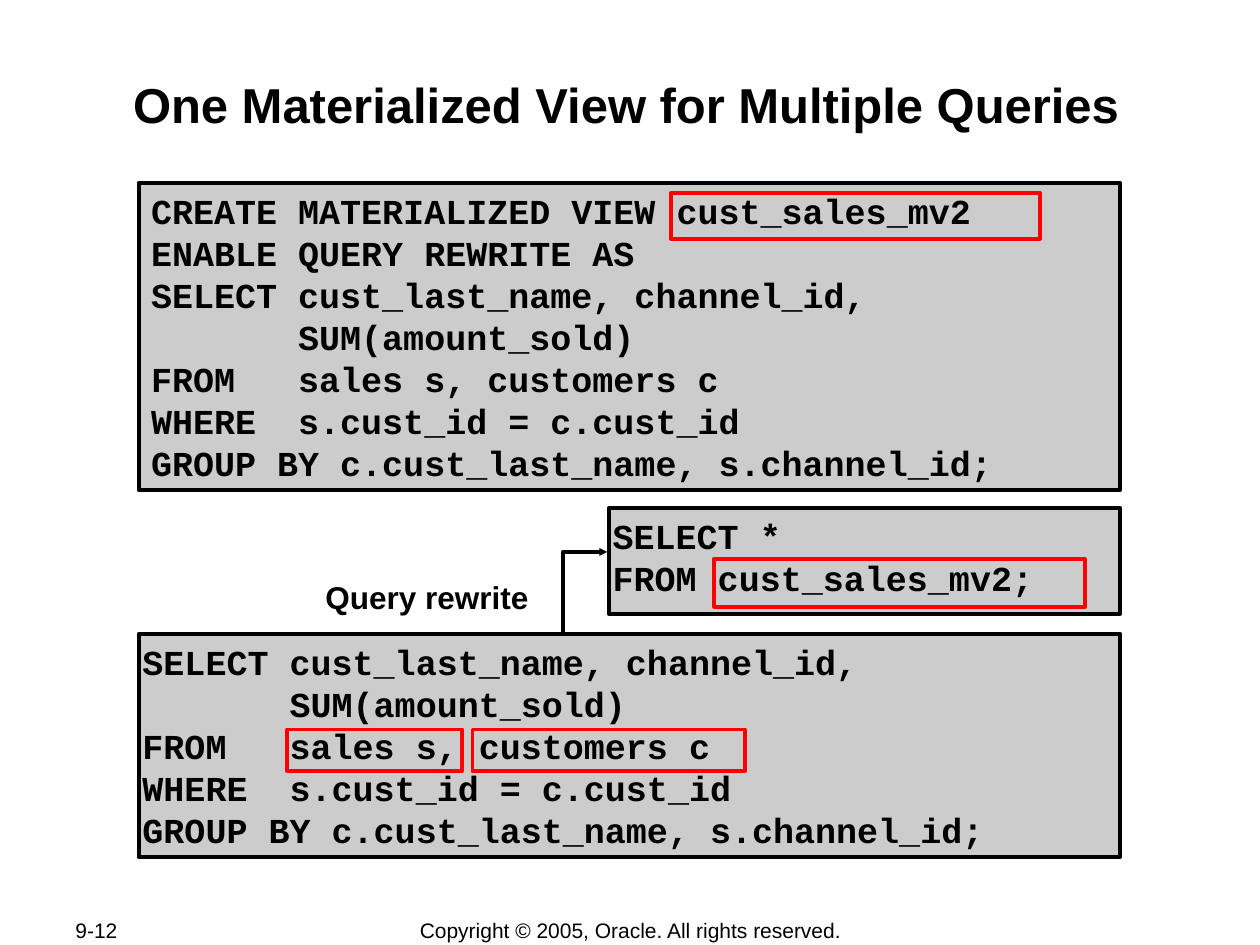
from lxml import etree
from pptx import Presentation
from pptx.dml.color import RGBColor
from pptx.enum.shapes import MSO_CONNECTOR, MSO_SHAPE
from pptx.enum.text import MSO_ANCHOR, MSO_AUTO_SIZE, PP_ALIGN
from pptx.oxml.ns import qn
from pptx.util import Pt

RECT = MSO_SHAPE.RECTANGLE
ELBOW = MSO_CONNECTOR.ELBOW
TOP, MIDDLE = MSO_ANCHOR.TOP, MSO_ANCHOR.MIDDLE
LEFT, CENTER = PP_ALIGN.LEFT, PP_ALIGN.CENTER
NO_FIT = MSO_AUTO_SIZE.NONE

BLACK, GRAY, RED = "000000", "CCCCCC", "FF0000"
LINE_WIDTH = 2.25

QUERY = [
    "SELECT cust_last_name, channel_id,",
    "       SUM(amount_sold)",
    "FROM   sales s, customers c",
    "WHERE  s.cust_id = c.cust_id",
    "GROUP BY c.cust_last_name, s.channel_id;",
]
VIEW = ["CREATE MATERIALIZED VIEW cust_sales_mv2", "ENABLE QUERY REWRITE AS"] + QUERY
REWRITTEN = ["SELECT *", "FROM cust_sales_mv2;"]


def color(hex_string):
    return RGBColor.from_string(hex_string)


def points(box):
    return [Pt(v) for v in box]


def write(tf, lines, size, font="Arial", bold=True, align=LEFT, anchor=TOP,
          inset=(0.72, 0.72), wrap=True):
    tf.word_wrap = wrap
    tf.auto_size = NO_FIT
    tf.vertical_anchor = anchor
    tf.margin_left = tf.margin_right = Pt(inset[0])
    tf.margin_top = tf.margin_bottom = Pt(inset[1])
    for i, line in enumerate(lines):
        p = tf.paragraphs[0] if i == 0 else tf.add_paragraph()
        p.text = line
        p.alignment = align
        p.font.name = font
        p.font.size = Pt(size)
        p.font.bold = bold
        p.font.color.rgb = color(BLACK)


def add_title(slide, box, text):
    title = slide.shapes.title
    title.left, title.top, title.width, title.height = points(box)
    write(title.text_frame, [text], 28, align=CENTER)


def add_label(slide, box, text, size, **style):
    sp = slide.shapes.add_textbox(*points(box))
    write(sp.text_frame, [text], size, **style)


def add_frame(slide, box, line, fill=None):
    sp = slide.shapes.add_shape(RECT, *points(box))
    sp.shadow.inherit = False
    sp.line.color.rgb = color(line)
    sp.line.width = Pt(LINE_WIDTH)
    if fill:
        sp.fill.solid()
        sp.fill.fore_color.rgb = color(fill)
    else:
        sp.fill.background()
    return sp


def add_code(slide, box, lines, side_inset):
    sp = add_frame(slide, box, BLACK, GRAY)
    write(sp.text_frame, lines, 20, font="Courier New", inset=(side_inset, 3.6))


def add_up_right_arrow(slide, x1, y1, x2, y2):
    """One-bend arrow that rises from (x1, y1), then runs right to (x2, y2)."""
    run, rise = x2 - x1, y1 - y2
    left = (x1 + x2 - rise) / 2
    top = (y1 + y2 - run) / 2
    arrow = slide.shapes.add_connector(
        ELBOW, *points((left, top, left + rise, top + run)))
    arrow.line.color.rgb = color(BLACK)
    arrow.line.width = Pt(LINE_WIDTH)
    # Single bend, turned a quarter counterclockwise
    sp_pr = arrow._element.spPr
    sp_pr.find(qn("a:prstGeom")).set("prst", "bentConnector2")
    sp_pr.find(qn("a:xfrm")).set("rot", str(270 * 60000))
    # Arrowhead, no shadow
    head = etree.SubElement(sp_pr.find(qn("a:ln")), qn("a:tailEnd"))
    head.set("type", "triangle")
    head.set("w", "sm")
    head.set("len", "sm")
    etree.SubElement(sp_pr, qn("a:effectLst"))


def add_footer(slide, number, copyright_line):
    style = dict(size=12, bold=False, anchor=MIDDLE, inset=(7.2, 3.6))
    add_label(slide, (36, 524, 76, 15), number, **style)
    add_label(slide, (198.7, 524, 323.3, 15), copyright_line, align=CENTER, **style)


def main():
    prs = Presentation()
    prs.slide_width, prs.slide_height = Pt(720), Pt(540)
    slide = prs.slides.add_slide(prs.slide_layouts[5])

    add_footer(slide, "9-12", "Copyright © 2005, Oracle. All rights reserved.")
    add_title(slide, (69.8, 41.8, 576, 69),
              "One Materialized View for Multiple Queries")

    # View definition, user query and rewritten query
    add_code(slide, (79.2, 104.5, 561, 175.6), VIEW, 7.2)
    add_code(slide, (79.2, 362.2, 561, 127.5), QUERY, 2.2)
    add_code(slide, (347.9, 290.2, 292.3, 60.5), REWRITTEN, 2.2)

    # Rewrite step
    add_up_right_arrow(slide, 321.8, 362.2, 347, 315.4)
    add_label(slide, (185, 329.8, 118, 23.8), "Query rewrite", 18,
              align=CENTER, wrap=False)

    # Highlights: base tables, then the view name in both places
    for box in ((164.2, 416.9, 100, 23.8), (270, 416.9, 155.6, 23.8),
                (408.2, 319.3, 211.6, 27.4), (383.2, 110.4, 211.2, 26)):
        add_frame(slide, box, RED)

    prs.save("out.pptx")


if __name__ == "__main__":
    main()
